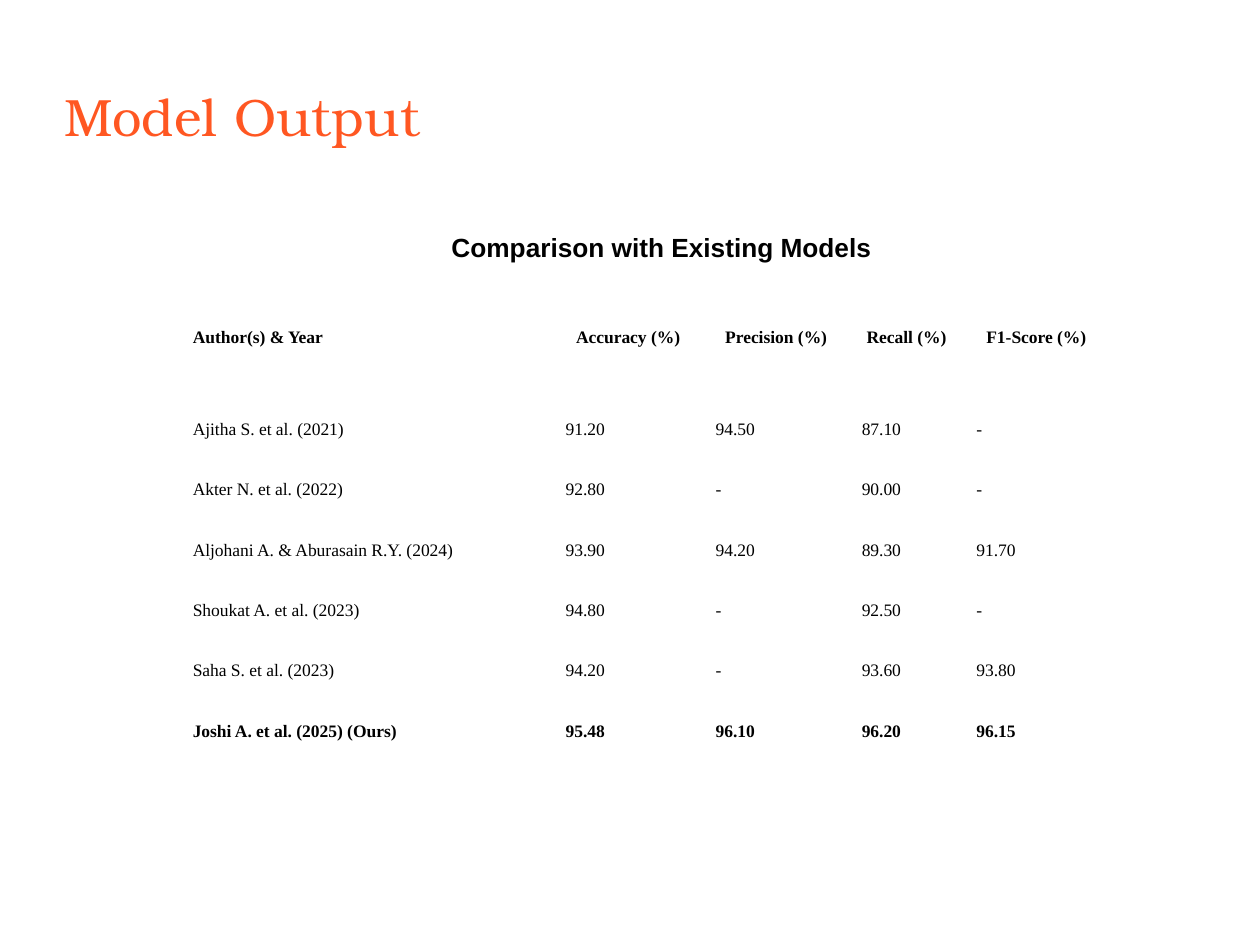
from lxml import etree
from pptx import Presentation
from pptx import util as u
from pptx.dml.color import RGBColor
from pptx.enum import text
from pptx.oxml.ns import qn

COLORS = {"title": "FF5722", "text": "000000", "background": "FFFFFF"}
NO_STYLE = "{2D5ABB26-0587-4C30-8999-92F81FD0307C}"
COLUMN_WIDTHS = [2.96, 1.19, 1.16, 0.91, 1.15]
HEADER_HEIGHT, ROW_HEIGHT = 0.75, 0.48
RESULTS = [
    ["Author(s) & Year", "Accuracy (%)", "Precision (%)", "Recall (%)", "F1-Score (%)"],
    ["Ajitha S. et al. (2021)", "91.20", "94.50", "87.10", "-"],
    ["Akter N. et al. (2022)", "92.80", "-", "90.00", "-"],
    ["Aljohani A. & Aburasain R.Y. (2024)", "93.90", "94.20", "89.30", "91.70"],
    ["Shoukat A. et al. (2023)", "94.80", "-", "92.50", "-"],
    ["Saha S. et al. (2023)", "94.20", "-", "93.60", "93.80"],
    ["Joshi A. et al. (2025) (Ours)", "95.48", "96.10", "96.20", "96.15"],
]


def write_text(frame, words, *, font, size, color="text", bold=False,
               align=text.PP_ALIGN.LEFT, line_spacing=1.0):
    """Write one formatted paragraph into a text frame and return it."""
    paragraph = frame.paragraphs[0]
    paragraph.alignment = align
    paragraph.line_spacing = line_spacing
    paragraph.space_before = u.Pt(0)
    run = paragraph.add_run()
    run.text = words
    run.font.name = font
    run.font.size = u.Pt(size)
    run.font.bold = bold
    run.font.color.rgb = RGBColor.from_string(COLORS[color])
    return paragraph


def place(shape, box):
    """Move a placeholder to a box given in inches and centre its text vertically."""
    shape.left, shape.top, shape.width, shape.height = map(u.Inches, box)
    shape.text_frame.word_wrap = True
    shape.text_frame.auto_size = text.MSO_AUTO_SIZE.NONE
    shape.text_frame.vertical_anchor = text.MSO_ANCHOR.MIDDLE


def add_title(slide, box):
    """Fill the title placeholder."""
    title = slide.shapes.title
    place(title, box)
    write_text(title.text_frame, "Model Output", font="TeX Gyre Bonum", size=30, color="title")


def add_heading(slide, box):
    """Fill the body placeholder with the heading above the table."""
    body = slide.placeholders[1]
    place(body, box)
    paragraph = write_text(body.text_frame, "Comparison with Existing Models", font="Arial",
                           size=15, bold=True, align=text.PP_ALIGN.CENTER, line_spacing=1.5)
    properties = paragraph._p.get_or_add_pPr()
    properties.set("marL", str(u.Inches(0.5)))
    properties.set("indent", "0")
    etree.SubElement(properties, qn("a:buNone"))


def add_results_table(slide, left, top):
    """Add the plain comparison table with its top left corner at a point."""
    height = HEADER_HEIGHT + ROW_HEIGHT * (len(RESULTS) - 1)
    box = map(u.Inches, (left, top, sum(COLUMN_WIDTHS), height))
    table = slide.shapes.add_table(len(RESULTS), len(COLUMN_WIDTHS), *box).table
    table._tbl.tblPr.find(qn("a:tableStyleId")).text = NO_STYLE
    table.first_row = table.horz_banding = False
    for column, width in zip(table.columns, COLUMN_WIDTHS):
        column.width = u.Inches(width)
    for i, values in enumerate(RESULTS):
        header = i == 0
        table.rows[i].height = u.Inches(HEADER_HEIGHT if header else ROW_HEIGHT)
        for j, value in enumerate(values):
            cell = table.cell(i, j)
            cell.fill.background()
            cell.margin_left = cell.margin_right = u.Inches(0.1)
            cell.margin_top = cell.margin_bottom = u.Inches(0.1)
            centred = header and j > 0
            write_text(cell.text_frame, value, font="Times New Roman", size=10,
                       bold=header or i == len(RESULTS) - 1,
                       align=text.PP_ALIGN.CENTER if centred else text.PP_ALIGN.LEFT,
                       line_spacing=1.15 if header else 1.0)


def main():
    """Build the slide and save it."""
    presentation = Presentation()
    presentation.slide_width, presentation.slide_height = u.Inches(10), u.Inches(7.5)
    slide = presentation.slides.add_slide(presentation.slide_layouts[1])
    slide.background.fill.solid()
    slide.background.fill.fore_color.rgb = RGBColor.from_string(COLORS["background"])
    add_title(slide, (0.41, 0.29, 9, 1.25))
    add_heading(slide, (0, 1.4, 10, 0.99))
    add_results_table(slide, 1.43, 2.48)
    presentation.save("out.pptx")


if __name__ == "__main__":
    main()
